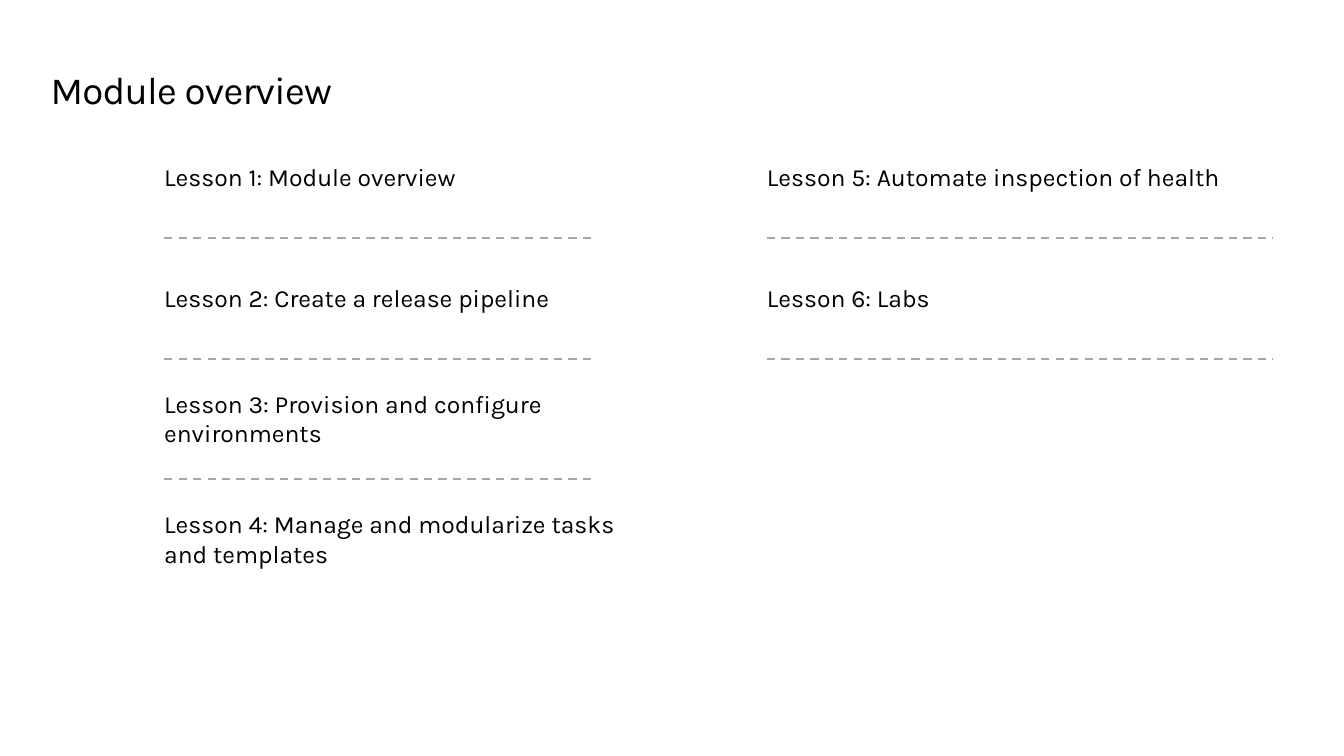
import pptx
import pptx.util
import pptx.dml.color
import pptx.enum.dml
import pptx.enum.shapes
import pptx.enum.text
from lxml import etree

Cm, Pt = pptx.util.Cm, pptx.util.Pt
Anchor = pptx.enum.text.MSO_ANCHOR
HUES = {"text": "000000", "rule": "A6A6A6"}


def tint(name):
    return pptx.dml.color.RGBColor.from_string(HUES[name])


def assign(target, values):
    for key, value in values.items():
        setattr(target, key, value)


class Deck:
    face = "Karla"

    def __init__(self, wide, high):
        self.show = pptx.Presentation()
        assign(self.show, {"slide_width": Cm(wide), "slide_height": Cm(high)})
        self.slide = self.show.slides.add_slide(self.show.slide_layouts[6])

    def text(self, words, left, top, wide, high, size, anchor, space, track=0):
        box = self.slide.shapes.add_textbox(Cm(left), Cm(top), Cm(wide), Cm(high))
        frame = box.text_frame
        assign(frame, {
            "word_wrap": True, "vertical_anchor": anchor,
            "margin_left": 0, "margin_right": 0,
            "margin_top": 0, "margin_bottom": 0,
        })
        para = frame.paragraphs[0]
        assign(para, space)
        run = para.add_run()
        run.text = words
        assign(run.font, {"name": self.face, "size": Pt(size)})
        run.font.color.rgb = tint("text")
        if track:
            run.font._element.set("spc", str(track))

    def rule(self, left, top, wide):
        line = self.slide.shapes.add_connector(
            pptx.enum.shapes.MSO_CONNECTOR.STRAIGHT,
            Cm(left), Cm(top), Cm(left + wide), Cm(top))
        assign(line.line, {
            "width": Pt(1.5), "dash_style": pptx.enum.dml.MSO_LINE.DASH})
        line.line.color.rgb = tint("rule")
        etree.SubElement(line._element.spPr, pptx.oxml.ns.qn("a:effectLst"))


def main():
    deck = Deck(34.54, 19.43)

    # Title
    deck.text("Module overview", 1.3, 1.75, 32.03, 1.14, 28, Anchor.TOP,
              {"line_spacing": Pt(32)}, track=-50)

    # Lessons: left, text width, rule width, then (title, lines of text)
    columns = [
        (4.22, 11.61, 11.05, [
            ("Lesson 1: Module overview", 1),
            ("Lesson 2: Create a release pipeline", 1),
            ("Lesson 3: Provision and configure environments", 2),
            ("Lesson 4: Manage and modularize tasks and templates", 2),
        ]),
        (19.71, 13.64, 13, [
            ("Lesson 5: Automate inspection of health", 1),
            ("Lesson 6: Labs", 1),
        ]),
    ]
    pitch, middle, below, leading = 3.1, 4.55, 1.57, 0.77
    for left, wide, reach, lessons in columns:
        for row, (words, lines) in enumerate(lessons):
            centre = middle + row * pitch
            high = lines * leading
            deck.text(words, left, centre - high / 2, wide, high, 18,
                      Anchor.MIDDLE, {"space_after": Pt(6)})
            # The bottom row has no rule
            if row < 3:
                deck.rule(left, centre + below, reach)

    deck.show.save("out.pptx")


if __name__ == "__main__":
    main()
